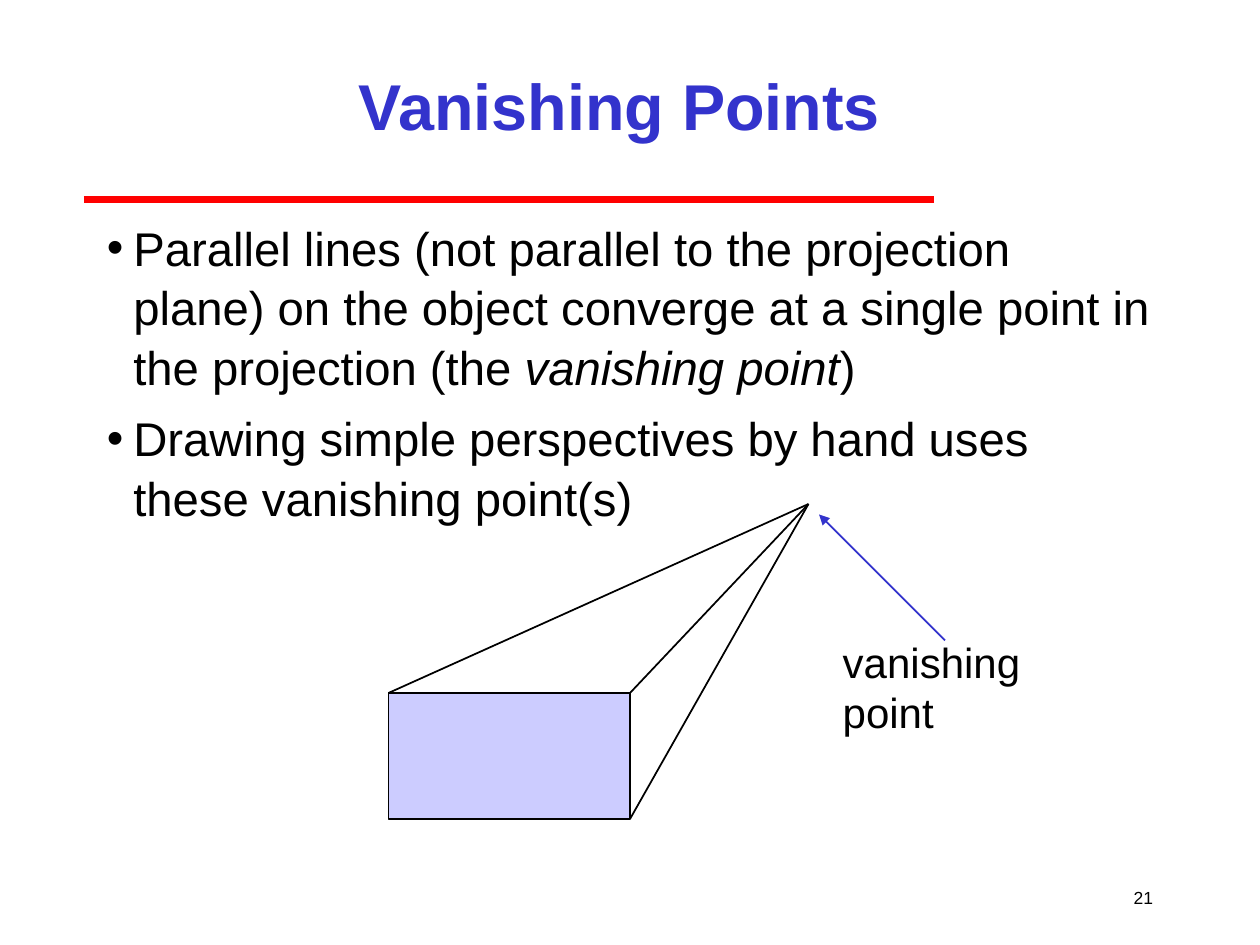
from typing import NamedTuple

from lxml.etree import SubElement
from pptx import Presentation
from pptx.dml.color import RGBColor
from pptx.enum.shapes import MSO_CONNECTOR, MSO_SHAPE
from pptx.enum.text import MSO_ANCHOR as Anchor, PP_ALIGN as Align
from pptx.oxml.ns import qn
from pptx.util import Pt

BLACK = RGBColor(0x00, 0x00, 0x00)
BLUE = RGBColor(0x33, 0x33, 0xCC)
LAVENDER = RGBColor(0xCC, 0xCC, 0xFF)
RED = RGBColor(0xFF, 0x00, 0x00)
WHITE = RGBColor(0xFF, 0xFF, 0xFF)
FONT = "Arial"
BULLET_INDENT = Pt(15.12)


class Point(NamedTuple):
    x: float
    y: float


class Area(NamedTuple):
    left: float
    top: float
    width: float
    height: float

    def lengths(self) -> list:
        return [Pt(value) for value in self]


class Span(NamedTuple):
    text: str
    italic: bool = False


class Label(NamedTuple):
    area: Area
    text: str
    size: float
    color: RGBColor = BLACK
    bold: bool = False
    align: Align = Align.LEFT
    anchor: Anchor = Anchor.TOP
    wrap: bool = False


class Line(NamedTuple):
    start: Point
    end: Point
    color: RGBColor = BLACK
    width: float = 1
    arrow: bool = False


FRONT_FACE = Area(222, 396, 138, 72)
VANISHING_POINT = Point(462, 288)
RIGHT = FRONT_FACE.left + FRONT_FACE.width
BOTTOM = FRONT_FACE.top + FRONT_FACE.height
CORNERS = [
    Point(RIGHT, BOTTOM),
    Point(RIGHT, FRONT_FACE.top),
    Point(FRONT_FACE.left, FRONT_FACE.top),
]

LINES = [
    Line(Point(48, 114), Point(534, 114), RED, 4),
    *[Line(corner, VANISHING_POINT) for corner in CORNERS],
    Line(Point(540, 366), Point(468, 294), BLUE, arrow=True),
]
LABELS = [
    Label(Area(108, 18, 492, 84), "Vanishing Points", 37, BLUE, True,
          Align.CENTER, Anchor.MIDDLE, True),
    Label(Area(636, 498, 30, 30), "21", 10, align=Align.RIGHT, anchor=Anchor.MIDDLE),
    Label(Area(474.5, 360, 174, 36), "vanishing point", 24),
]
BODY_AREA = Area(54, 120, 612, 372)
BULLETS = [
    [
        Span("Parallel lines (not parallel to the projection plane) on the object "
             "converge at a single point in the projection (the "),
        Span("vanishing point", italic=True),
        Span(")"),
    ],
    [Span("Drawing simple perspectives by hand uses these vanishing point(s)")],
]


def style_font(font, size: float, color: RGBColor, bold: bool = False) -> None:
    font.name = FONT
    font.size = Pt(size)
    font.bold = bold
    font.color.rgb = color


def draw_label(page, label: Label) -> None:
    frame = page.shapes.add_textbox(*label.area.lengths()).text_frame
    frame.word_wrap = label.wrap
    frame.vertical_anchor = label.anchor
    para = frame.paragraphs[0]
    para.text = label.text
    para.alignment = label.align
    style_font(para.font, label.size, label.color, label.bold)


def add_bullet(para) -> None:
    """Give the paragraph a hanging indent and a round bullet."""
    properties = para._p.get_or_add_pPr()
    properties.set("marL", str(BULLET_INDENT))
    properties.set("indent", str(-BULLET_INDENT))
    bullet_font = SubElement(properties, qn("a:buFont"))
    bullet_font.set("typeface", FONT)
    SubElement(properties, qn("a:buChar")).set("char", "•")


def draw_bullets(page, area: Area, bullets: list[list[Span]]) -> None:
    frame = page.shapes.add_textbox(*area.lengths()).text_frame
    frame.word_wrap = True
    for index, spans in enumerate(bullets):
        para = frame.add_paragraph() if index else frame.paragraphs[0]
        para.space_before = Pt(6.8)
        para.line_spacing = 1.05
        add_bullet(para)
        style_font(para.font, 27, BLACK)
        for span in spans:
            run = para.add_run()
            run.text = span.text
            if span.italic:
                run.font.italic = True


def draw_line(page, line: Line) -> None:
    ends = [Pt(value) for value in (*line.start, *line.end)]
    connector = page.shapes.add_connector(MSO_CONNECTOR.STRAIGHT, *ends)
    connector.line.color.rgb = line.color
    connector.line.width = Pt(line.width)
    if line.arrow:
        outline = connector.line._get_or_add_ln()
        SubElement(outline, qn("a:tailEnd")).set("type", "triangle")
    SubElement(connector._element.spPr, qn("a:effectLst"))


def draw_front_face(page, area: Area) -> None:
    face = page.shapes.add_shape(MSO_SHAPE.RECTANGLE, *area.lengths())
    face.shadow.inherit = False
    face.fill.solid()
    face.fill.fore_color.rgb = LAVENDER
    face.line.color.rgb = BLACK
    face.line.width = Pt(0.75)


def main() -> None:
    deck = Presentation()
    deck.slide_width, deck.slide_height = Pt(720), Pt(540)
    page = deck.slides.add_slide(deck.slide_layouts[6])
    page.background.fill.solid()
    page.background.fill.fore_color.rgb = WHITE

    draw_bullets(page, BODY_AREA, BULLETS)
    draw_front_face(page, FRONT_FACE)
    for line in LINES:
        draw_line(page, line)
    for label in LABELS:
        draw_label(page, label)
    deck.save("out.pptx")


if __name__ == "__main__":
    main()
